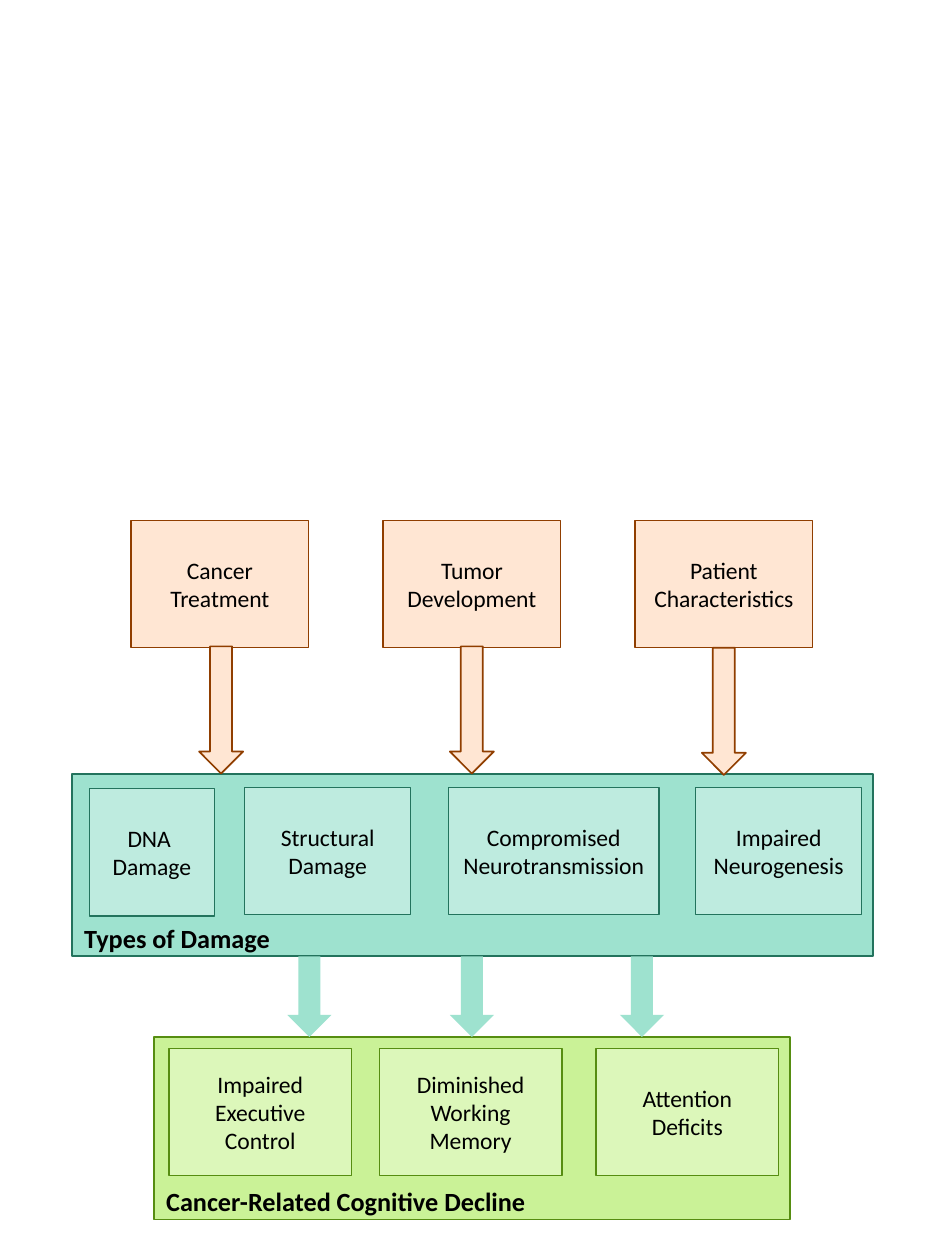
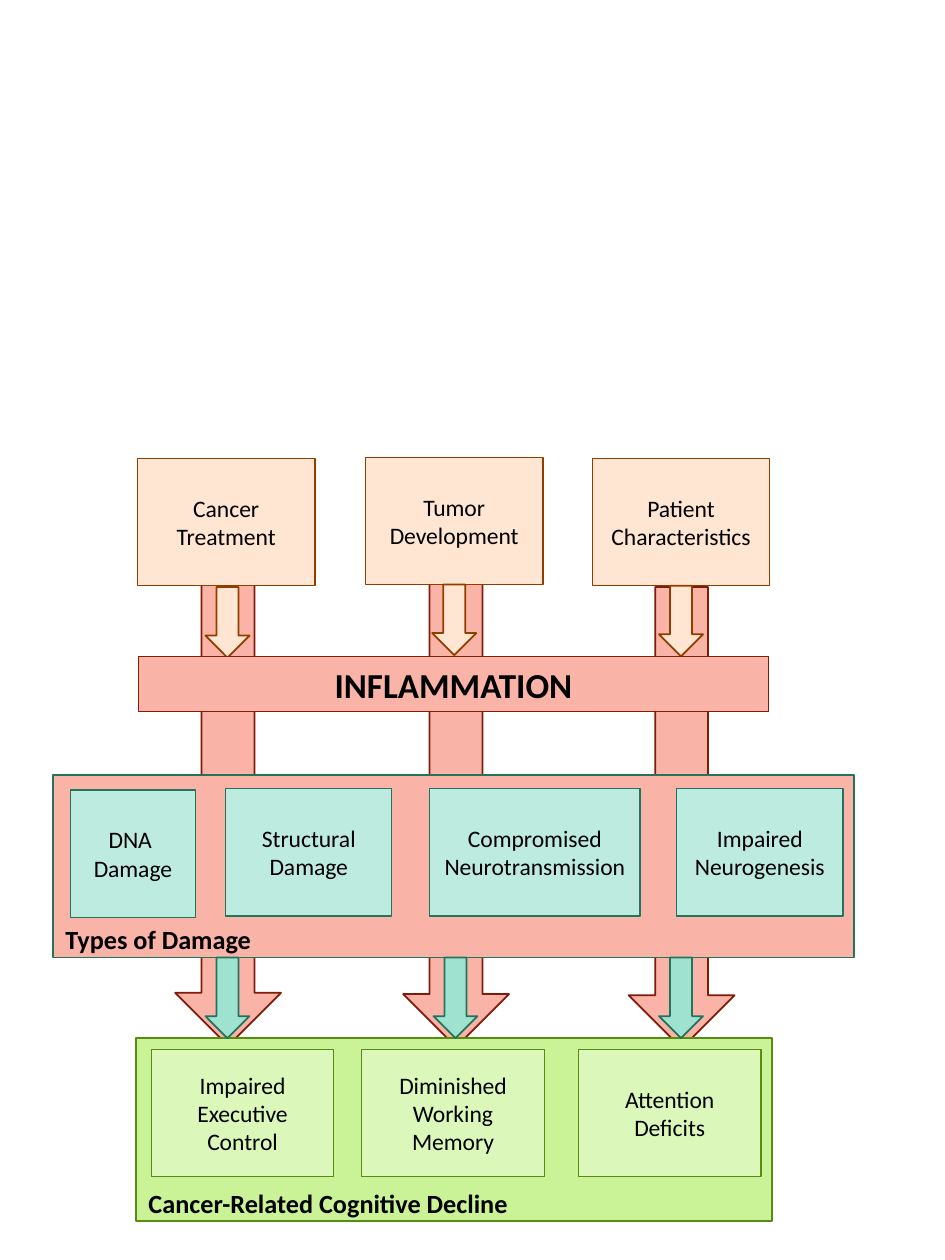
from dataclasses import dataclass

from pptx import Presentation
from pptx.dml.color import RGBColor
from pptx.enum.shapes import MSO_SHAPE
from pptx.enum.text import MSO_ANCHOR, PP_ALIGN
from pptx.util import Emu, Pt

RECTANGLE = MSO_SHAPE.RECTANGLE
DOWN_ARROW = MSO_SHAPE.DOWN_ARROW
CENTER = PP_ALIGN.CENTER
LEFT = PP_ALIGN.LEFT
MIDDLE = MSO_ANCHOR.MIDDLE
TOP = MSO_ANCHOR.TOP

# Scale: 100 px to the inch
EMU_PER_PX = 9144
SLIDE_WIDTH, SLIDE_HEIGHT = 750, 1000
BOX_HEIGHT = 101
PANEL_HEIGHT = 145
LABEL_OFFSET, LABEL_HEIGHT = 113, 35
CAUSE_WIDTH = 141
ARROW_WIDTH = 35
WIDE_ARROW_WIDTH = 84
THIN_LINE, THICK_LINE = 0.75, 1.0
FONT = "Calibri"

# Colours
BLACK = RGBColor(0x00, 0x00, 0x00)
PEACH = RGBColor(0xFF, 0xE6, 0xD3)
BROWN = RGBColor(0x90, 0x3E, 0x00)
MINT = RGBColor(0x9E, 0xE2, 0xCF)
PALE_MINT = RGBColor(0xBE, 0xEB, 0xDF)
TEAL = RGBColor(0x23, 0x73, 0x5D)
LIME = RGBColor(0xCA, 0xF2, 0x97)
PALE_LIME = RGBColor(0xDC, 0xF7, 0xBA)
GREEN = RGBColor(0x56, 0x8D, 0x11)
SALMON = RGBColor(0xF9, 0xB3, 0xA7)
DARK_RED = RGBColor(0x82, 0x1A, 0x08)


@dataclass(frozen=True)
class Area:
    left: int
    top: int
    width: int
    height: int


@dataclass(frozen=True)
class Style:
    fill: RGBColor
    line: RGBColor | None
    line_width: float = THICK_LINE


@dataclass(frozen=True)
class Item:
    """A box placed relative to the corner of its panel."""
    text: str
    left: int
    top: int
    width: int


@dataclass(frozen=True)
class Panel:
    label: str
    label_width: int
    label_wraps: bool
    width: int
    box_style: Style
    items: tuple[Item, ...]


CAUSE_BOX = Style(PEACH, BROWN, THIN_LINE)
CAUSE_ARROW = Style(PEACH, BROWN)
INFLAMMATION_ARROW = Style(SALMON, DARK_RED)
INFLAMMATION_BAR = Style(SALMON, DARK_RED, THIN_LINE)
DECLINE_PANEL = Style(LIME, GREEN)

CAUSES = ("Cancer Treatment", "Tumor Development", "Patient Characteristics")
DAMAGE = Panel("Types of Damage", 340, True, 636, Style(PALE_MINT, TEAL, THIN_LINE), (
    Item("DNA \nDamage", 14, 12, 99),
    Item("Structural Damage", 137, 11, 132),
    Item("Compromised Neurotransmission", 299, 11, 167),
    Item("Impaired Neurogenesis", 495, 11, 132),
))
DECLINE = Panel("Cancer-Related Cognitive Decline", 308, False, 505,
                Style(PALE_LIME, GREEN, THIN_LINE), (
    Item("Impaired Executive Control", 12, 9, 145),
    Item("Diminished Working Memory", 179, 9, 145),
    Item("Attention Deficits", 351, 9, 145),
))


def px(length: int) -> Emu:
    return Emu(length * EMU_PER_PX)


def place(area: Area) -> tuple[Emu, Emu, Emu, Emu]:
    return px(area.left), px(area.top), px(area.width), px(area.height)


def write_text(shape, text: str, *, size: float = 13.5, bold: bool = False,
               align=CENTER, anchor=MIDDLE, wrap: bool = True) -> None:
    frame = shape.text_frame
    frame.word_wrap = wrap
    frame.vertical_anchor = anchor
    paragraph = frame.paragraphs[0]
    paragraph.text = text
    paragraph.alignment = align
    for run in paragraph.runs:
        run.font.name = FONT
        run.font.size = Pt(size)
        run.font.bold = bold
        run.font.color.rgb = BLACK


def draw_shape(slide, kind, area: Area, style: Style):
    shape = slide.shapes.add_shape(kind, *place(area))
    shape.shadow.inherit = False
    shape.fill.solid()
    shape.fill.fore_color.rgb = style.fill
    if style.line is None:
        shape.line.fill.background()
    else:
        shape.line.color.rgb = style.line
        shape.line.width = Pt(style.line_width)
    return shape


def draw_panel(slide, panel: Panel, left: int, top: int, style: Style) -> None:
    draw_shape(slide, RECTANGLE, Area(left, top, panel.width, PANEL_HEIGHT), style)
    for item in panel.items:
        area = Area(left + item.left, top + item.top, item.width, BOX_HEIGHT)
        write_text(draw_shape(slide, RECTANGLE, area, panel.box_style), item.text)
    label_area = Area(left, top + LABEL_OFFSET, panel.label_width, LABEL_HEIGHT)
    label = slide.shapes.add_textbox(*place(label_area))
    write_text(label, panel.label, size=15, bold=True, align=LEFT, anchor=TOP,
               wrap=panel.label_wraps)


def draw_causes(slide, lefts: tuple[int, ...], tops: tuple[int, ...]) -> None:
    for text, left, top in zip(CAUSES, lefts, tops):
        area = Area(left, top, CAUSE_WIDTH, BOX_HEIGHT)
        write_text(draw_shape(slide, RECTANGLE, area, CAUSE_BOX), text)


def draw_arrows(slide, lefts: tuple[int, ...], tops: tuple[int, ...],
                height: int, style: Style) -> None:
    for left, top in zip(lefts, tops):
        draw_shape(slide, DOWN_ARROW, Area(left, top, ARROW_WIDTH, height), style)


def build_direct_model(slide) -> None:
    draw_panel(slide, DECLINE, 122, 823, DECLINE_PANEL)
    draw_panel(slide, DAMAGE, 57, 614, Style(MINT, TEAL))
    draw_causes(slide, (104, 304, 504), (413,) * 3)
    draw_arrows(slide, (228, 357, 492), (759,) * 3, 64, Style(MINT, None))
    draw_arrows(slide, (158, 357, 557), (513, 513, 514), 101, CAUSE_ARROW)


def build_inflammation_model(slide) -> None:
    # Wide arrows run behind everything else
    for left, top, height in ((499, 466, 366), (139, 464, 366), (320, 451, 380)):
        draw_shape(slide, DOWN_ARROW, Area(left, top, WIDE_ARROW_WIDTH, height),
                   INFLAMMATION_ARROW)
    draw_panel(slide, DECLINE, 108, 824, DECLINE_PANEL)
    draw_panel(slide, DAMAGE, 42, 615, Style(SALMON, TEAL))
    draw_causes(slide, (109, 290, 470), (364, 363, 364))
    draw_arrows(slide, (163, 344, 523), (760,) * 3, 64, Style(MINT, TEAL))
    draw_arrows(slide, (163, 343, 523), (466, 464, 465), 56, CAUSE_ARROW)
    bar = draw_shape(slide, RECTANGLE, Area(110, 521, 500, 44), INFLAMMATION_BAR)
    write_text(bar, "INFLAMMATION", size=20, bold=True)


def main() -> None:
    presentation = Presentation()
    presentation.slide_width = px(SLIDE_WIDTH)
    presentation.slide_height = px(SLIDE_HEIGHT)
    blank_layout = presentation.slide_layouts[6]
    for build in (build_direct_model, build_inflammation_model):
        build(presentation.slides.add_slide(blank_layout))
    presentation.save("out.pptx")


if __name__ == "__main__":
    main()
